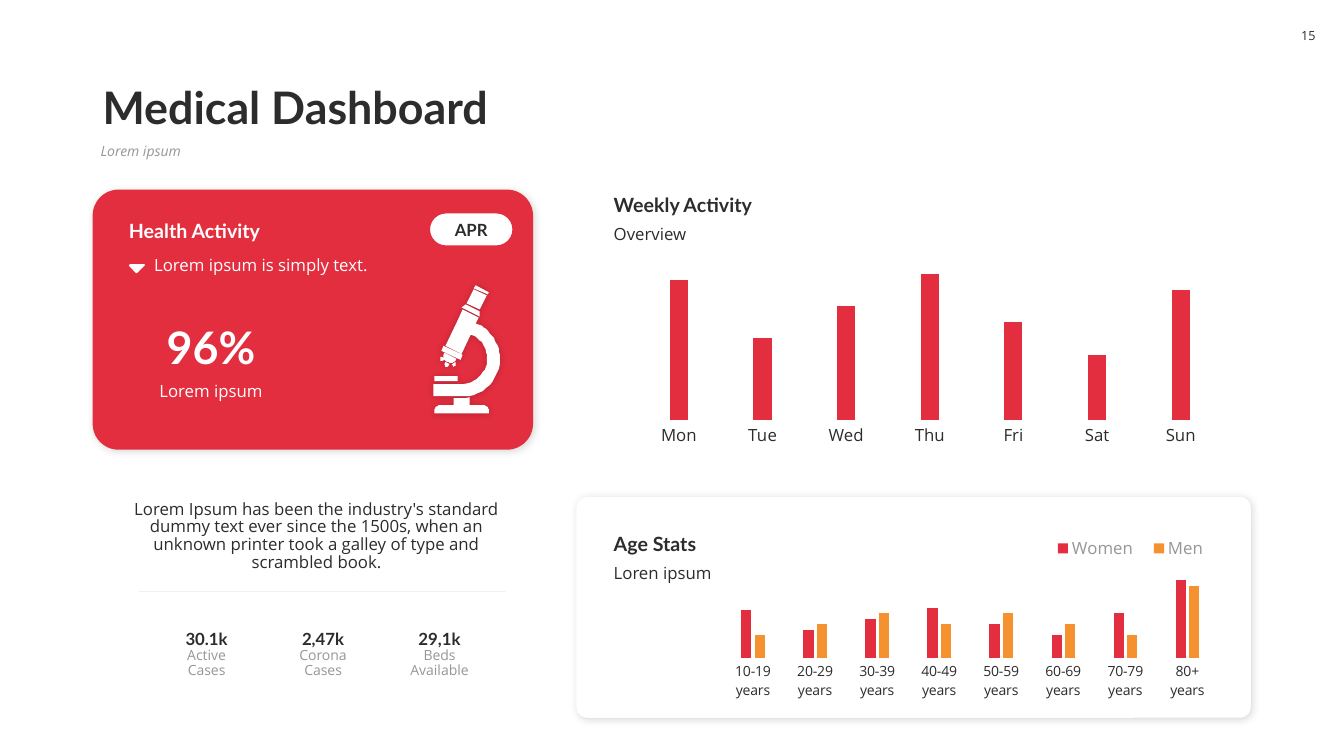
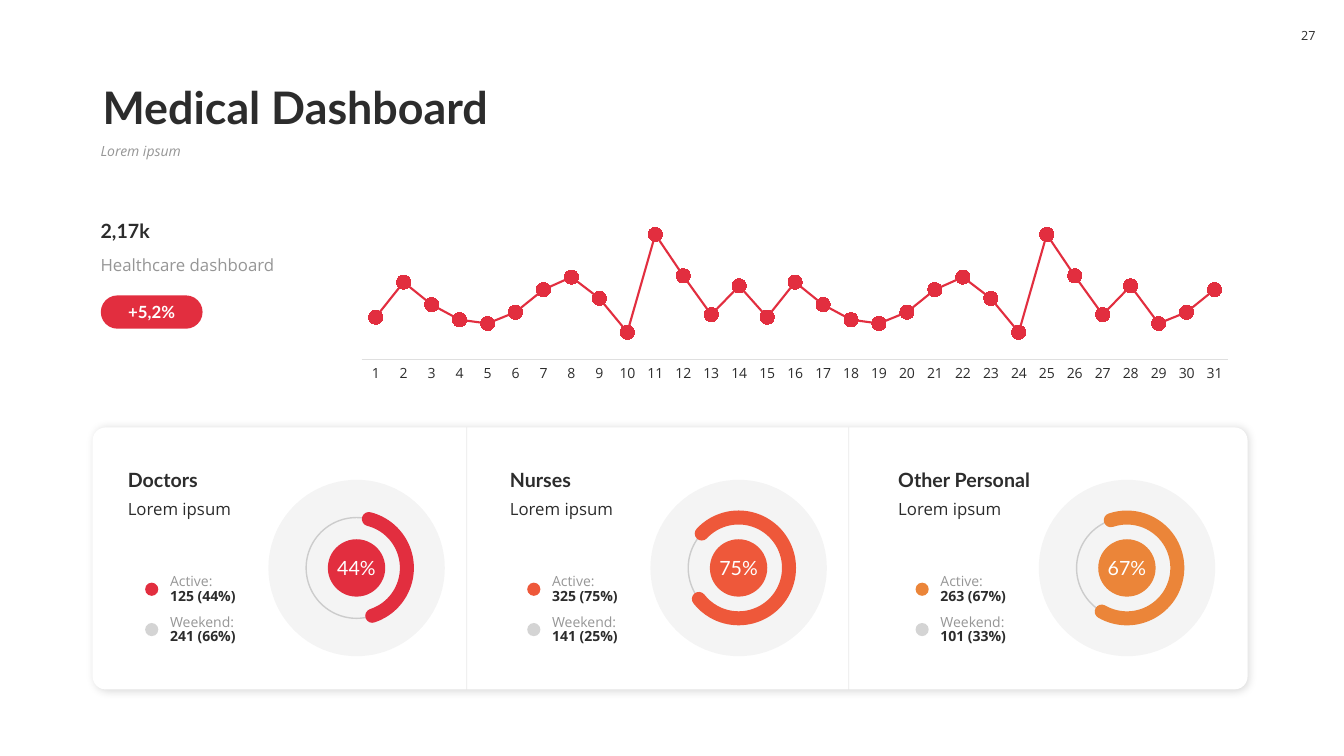
from dataclasses import dataclass, replace

from lxml.etree import SubElement
from pptx import Presentation
from pptx.chart.data import CategoryChartData
from pptx.dml.color import RGBColor
from pptx.enum.chart import XL_CHART_TYPE as ChartType, XL_LEGEND_POSITION as LegendPosition
from pptx.enum.chart import XL_MARKER_STYLE as MarkerStyle, XL_TICK_MARK as TickMark
from pptx.enum.shapes import MSO_CONNECTOR as Connector, MSO_SHAPE as Shape
from pptx.enum.text import MSO_ANCHOR as Anchor, PP_ALIGN as Align
from pptx.oxml.ns import qn
from pptx.util import Pt


@dataclass(frozen=True)
class Theme:
    heading: str = "Lato"
    body: str = "Open Sans"
    ink: str = "2C2C2C"
    gray: str = "969696"
    rule: str = "DFDFDF"
    white: str = "FFFFFF"
    red: str = "E22E3F"
    coral: str = "EE583A"
    amber: str = "EB8539"
    orange: str = "F5922F"
    huge: int = 32
    large: int = 14
    normal: int = 12
    small: int = 10
    tiny: int = 9


@dataclass(frozen=True)
class Style:
    font: str
    size: int
    color: str
    bold: bool = False
    italic: bool = False
    spacing: float = 1


THEME = Theme()

# Text styles
TITLE = Style(THEME.heading, THEME.huge, THEME.ink, bold=True, spacing=0.9)
SUBTITLE = Style(THEME.body, THEME.small, THEME.gray, italic=True, spacing=0.9)
HEADING = Style(THEME.heading, THEME.large, THEME.ink, bold=True)
FIGURE = replace(HEADING, size=THEME.normal)
BODY = Style(THEME.body, THEME.normal, THEME.ink, spacing=0.88)
LABEL = replace(BODY, size=THEME.small, color=THEME.gray)
LABEL_VALUE = replace(LABEL, color=THEME.ink, bold=True)
PAGE_NUMBER = Style(THEME.body, THEME.tiny, THEME.ink)
PERCENT = Style(THEME.heading, THEME.large, THEME.white)

# Microscope outline in hundredths of an inch: pairs are corners, sixes are Bézier curves
MICROSCOPE = [
    [(36, 111), (36, 119), (50, 119), (53, 119, 55, 122, 55, 125), (55, 127), (1, 127),
     (1, 125), (1, 122, 3, 119, 6, 119), (20, 119), (20, 112), (32, 112)],
    [(24, 90), (24, 95), (1, 95), (1, 90)],
    [(22, 76), (22, 78), (23, 79, 22, 80, 21, 80), (20, 81), (19, 79), (18, 78), (19, 78)],
    [(12, 76), (14, 77), (16, 78), (15, 80), (14, 81, 13, 81, 12, 81), (11, 78)],
    [(9, 71), (10, 73), (11, 74), (9, 75), (8, 75, 7, 75, 7, 74), (7, 71)],
    [(11, 67), (23, 73), (22, 74), (21, 77, 17, 78, 14, 76), (11, 75, 9, 72, 10, 69)],
    [(10, 60), (29, 69), (27, 74), (8, 65)],
    [(29, 24), (45, 32), (42, 38), (48, 40), (57, 46, 64, 57, 66, 69),
     (68, 88, 55, 106, 35, 110), (0, 110), (0, 98), (30, 98), (35, 97),
     (47, 93, 55, 82, 53, 70), (52, 61, 47, 54, 40, 50), (37, 49), (28, 68), (12, 60), (24, 35)],
    [(32, 19), (46, 26), (46, 31), (28, 22)],
    [(40, 4), (53, 10), (46, 24), (33, 18)],
    [(42, 0), (55, 7), (54, 9), (40, 3)],
]
CARET = [[(1, 0), (15, 0), (16, 1), (15, 2), (8, 9), (7, 9), (0, 2), (0, 1)]]


def rgb(color):
    return RGBColor.from_string(color)


def set_opacity(shape, percent):
    for color in shape.element.spPr.iter(qn("a:srgbClr")):
        SubElement(color, qn("a:alpha"), val=str(percent * 1000))


def add_shadow(shape, percent, blur, distance):
    effects = shape.element.spPr.find(qn("a:effectLst"))
    shadow = SubElement(effects, qn("a:outerShdw"), blurRad=str(Pt(blur)), dist=str(Pt(distance)),
                        dir=str(45 * 60000), algn="tl", rotWithShape="0")
    color = SubElement(shadow, qn("a:srgbClr"), val="000000")
    SubElement(color, qn("a:alpha"), val=str(percent * 1000))


def write(frame, lines, align, anchor, wrap=True):
    frame.word_wrap = wrap
    frame.vertical_anchor = anchor
    for index, (text, style) in enumerate(lines):
        paragraph = frame.paragraphs[0] if index == 0 else frame.add_paragraph()
        paragraph.text = text
        paragraph.alignment = align
        paragraph.line_spacing = style.spacing
        font = paragraph.font
        font.name, font.size = style.font, Pt(style.size)
        font.bold, font.italic = style.bold, style.italic
        font.color.rgb = rgb(style.color)


def add_text(slide, box, *lines, align=Align.LEFT, anchor=Anchor.TOP):
    write(slide.shapes.add_textbox(*map(Pt, box)).text_frame, lines, align, anchor)


def add_shape(slide, kind, box, fill=None, line=None, width=1, corner=None, opacity=None, label=None):
    shape = slide.shapes.add_shape(kind, *map(Pt, box))
    shape.shadow.inherit = False
    if corner is not None:
        shape.adjustments[0] = corner
    if fill:
        shape.fill.solid()
        shape.fill.fore_color.rgb = rgb(fill)
    else:
        shape.fill.background()
    if line:
        shape.line.color.rgb = rgb(line)
        shape.line.width = Pt(width)
    else:
        shape.line.fill.background()
    if opacity:
        set_opacity(shape, opacity)
    if label:
        frame = shape.text_frame
        frame.margin_left = frame.margin_right = frame.margin_top = frame.margin_bottom = 0
        write(frame, [label], Align.CENTER, Anchor.MIDDLE, wrap=False)
    return shape


def add_circle(slide, center, diameter, **look):
    left, top = (value - diameter / 2 for value in center)
    return add_shape(slide, Shape.OVAL, (left, top, diameter, diameter), **look)


def add_card(slide, box, fill, corner):
    add_shadow(add_shape(slide, Shape.ROUNDED_RECTANGLE, box, fill, corner=corner), 15, 6, 1)


def add_pill(slide, box, fill, text, color, line=None):
    add_shape(slide, Shape.ROUNDED_RECTANGLE, box, fill, line, corner=0.5,
              label=(text, replace(FIGURE, color=color)))


def add_rule(slide, start, end):
    rule = slide.shapes.add_connector(Connector.STRAIGHT, *map(Pt, (*start, *end)))
    rule.line.color.rgb = rgb(THEME.ink)
    rule.line.width = Pt(0.5)
    set_opacity(rule, 10)
    SubElement(rule.element.spPr, qn("a:effectLst"))


def flatten(contour, steps=12):
    """Turn corners and cubic curves into a list of points."""
    points = []
    for part in contour:
        if len(part) == 2:
            points.append(part)
            continue
        knots = [points[-1], part[0:2], part[2:4], part[4:6]]
        for step in range(1, steps + 1):
            t = step / steps
            weights = ((1 - t) ** 3, 3 * t * (1 - t) ** 2, 3 * t * t * (1 - t), t ** 3)
            points.append(tuple(sum(w * knot[axis] for w, knot in zip(weights, knots))
                                for axis in (0, 1)))
    return points


def add_icon(slide, left, top, contours):
    outlines = [flatten(contour) for contour in contours]
    builder = slide.shapes.build_freeform(*outlines[0][0], scale=Pt(0.72))
    for index, points in enumerate(outlines):
        if index:
            builder.move_to(*points[0])
        builder.add_line_segments(points[1:], close=True)
    icon = builder.convert_to_shape(Pt(left), Pt(top))
    icon.shadow.inherit = False
    icon.fill.solid()
    icon.fill.fore_color.rgb = rgb(THEME.white)
    icon.line.fill.background()
    return icon


def set_layout(chart, part, position, inner=False):
    """Place the plot area or the legend by fractions of the chart."""
    parent = chart.element.find(".//" + qn(part))
    for old in parent.findall(qn("c:layout")):
        parent.remove(old)
    layout = parent.makeelement(qn("c:layout"))
    parent.insert(0 if inner else 1, layout)
    manual = SubElement(layout, qn("c:manualLayout"))
    if inner:
        SubElement(manual, qn("c:layoutTarget"), val="inner")
    for name in ("xMode", "yMode"):
        SubElement(manual, qn("c:" + name), val="edge")
    for name, value in zip("xywh", position):
        SubElement(manual, qn("c:" + name), val=str(value))


def add_chart(slide, kind, box, categories, series, plot_top, plot_height, label_size):
    data = CategoryChartData()
    data.categories = categories
    for name, values, _ in series:
        data.add_series(name, values)
    chart = slide.shapes.add_chart(kind, *map(Pt, box), data).chart
    chart.has_title = chart.has_legend = False
    chart.font.name, chart.font.size = THEME.body, Pt(label_size)
    chart.font.color.rgb = rgb(THEME.ink)
    chart.plots[0].vary_by_categories = False
    values, labels = chart.value_axis, chart.category_axis
    values.minimum_scale, values.maximum_scale = 0, 100
    values.has_major_gridlines = values.visible = False
    labels.major_tick_mark = labels.minor_tick_mark = TickMark.NONE
    labels.format.line.fill.background()
    set_layout(chart, "c:plotArea", (0.02, plot_top, 0.96, plot_height), inner=True)
    return chart


def add_columns(slide, box, categories, series, plot_top, plot_height, label_size, gap):
    chart = add_chart(slide, ChartType.COLUMN_CLUSTERED, box, categories, series,
                      plot_top, plot_height, label_size)
    plot = chart.plots[0]
    plot.gap_width, plot.overlap = gap, -30
    for bars, (_, _, color) in zip(plot.series, series):
        bars.format.fill.solid()
        bars.format.fill.fore_color.rgb = rgb(color)
    return chart


def add_heading(slide, left, top, width, heading, text):
    add_text(slide, (left, top, width, 24.4), (heading, HEADING), anchor=Anchor.BOTTOM)
    add_text(slide, (left, top + 24.4, width, 21.6), (text, BODY))


def add_page(presentation, number):
    slide = presentation.slides.add_slide(presentation.slide_layouts[6])
    add_text(slide, (66.2, 41.8, 828, 57.6), ("Medical Dashboard", TITLE), anchor=Anchor.BOTTOM)
    add_text(slide, (64.8, 99.4, 829, 26), ("Lorem ipsum", SUBTITLE))
    add_shape(slide, Shape.ROUNDED_RECTANGLE, (921.5, 13, 26, 25), THEME.white, corner=0.27,
              label=(number, PAGE_NUMBER))
    return slide


def add_staff_panel(slide, left, name, percent, active, weekend, color, arc_start, arc_end):
    # Ring with its share
    center = (left + 170.5, 405.7)
    add_circle(slide, center, 126, fill=THEME.ink, opacity=5)
    add_circle(slide, center, 72, line=THEME.ink, opacity=20)
    add_heading(slide, left, 330.5, 206, name, "Lorem ipsum")
    add_circle(slide, center, 41, fill=color, label=(percent, PERCENT))
    arc = add_shape(slide, Shape.ARC, (center[0] - 36, center[1] - 36, 72, 72), line=color, width=10)
    # Arc adjustments count 60000ths of a degree in units of 100000
    arc.adjustments[0], arc.adjustments[1] = arc_start * 0.6, arc_end * 0.6
    arc.element.spPr.find(qn("a:ln")).set("cap", "rnd")

    # Key
    keys = (("Active:", active, color, None), ("Weekend:", weekend, THEME.ink, 20))
    for row, (label, value, dot, opacity) in enumerate(keys):
        top = 405.4 + 28.8 * row
        add_circle(slide, (left + 24.2, top + 15.5), 9.4, fill=dot, opacity=opacity)
        add_text(slide, (left + 30.2, top, 85, 31.7), (label, LABEL), (value, LABEL_VALUE),
                 anchor=Anchor.MIDDLE)


def build_activity(presentation):
    slide = add_page(presentation, "15")
    white_body = replace(BODY, color=THEME.white)

    # Health card
    add_card(slide, (66.2, 135.4, 314.6, 185.8), THEME.red, 0.1)
    add_text(slide, (92, 224.6, 117.4, 46), ("96%", replace(TITLE, color=THEME.white, spacing=1)),
             align=Align.CENTER, anchor=Anchor.BOTTOM)
    add_text(slide, (92, 270, 117.4, 21.6), ("Lorem ipsum", white_body), align=Align.CENTER)
    add_pill(slide, (306.7, 152, 59.8, 23.8), THEME.white, "APR", THEME.ink, THEME.red)
    add_text(slide, (85, 152, 180, 24.4), ("Health Activity", replace(HEADING, color=THEME.white)),
             anchor=Anchor.BOTTOM)
    add_text(slide, (103, 180, 264, 21.6), ("Lorem ipsum is simply text.", white_body))
    add_icon(slide, 92.2, 188.6, CARET)
    add_shadow(add_icon(slide, 309.6, 203.8, MICROSCOPE), 20, 5, 0)

    # Weekly activity
    add_heading(slide, 431.3, 134, 206, "Weekly Activity", "Overview")
    add_columns(slide, (446.4, 180, 435.6, 141), ["Mon", "Tue", "Wed", "Thu", "Fri", "Sat", "Sun"],
                [("Series 1", (96, 56, 78, 100, 67, 44, 89), THEME.red)],
                0.11, 0.74, THEME.normal, 360)

    # Summary and case counts
    add_text(slide, (74.2, 354.2, 303.8, 51), (
        "Lorem Ipsum has been the industry's standard dummy text ever since the 1500s, "
        "when an unknown printer took a galley of type and scrambled book.", BODY), align=Align.CENTER)
    add_rule(slide, (99.4, 422.6), (361.4, 422.6))
    counts = [("30.1k", "Active", "Cases"), ("2,47k", "Corona", "Cases"), ("29,1k", "Beds", "Available")]
    for column, (figure, *labels) in enumerate(counts):
        add_text(slide, (111.6 + 83.2 * column, 443.5, 72, 46), (figure, FIGURE),
                 *((label, LABEL) for label in labels), align=Align.CENTER, anchor=Anchor.MIDDLE)

    # Age card
    add_card(slide, (411.8, 355, 481.7, 157.7), THEME.white, 0.05)
    ages = [f"{age}-{age + 9} years" for age in range(10, 80, 10)] + ["80+ years"]
    chart = add_columns(slide, (508.3, 376.6, 369.4, 126), ages,
                        [("Women", (61, 36, 50, 64, 43, 29, 57, 100), THEME.red),
                         ("Men", (29, 43, 57, 43, 57, 43, 29, 93), THEME.orange)],
                        0.3, 0.44, THEME.small, 380)
    chart.has_legend = True
    chart.legend.position = LegendPosition.TOP
    chart.legend.include_in_layout = False
    font = chart.legend.font
    font.name, font.size, font.color.rgb = THEME.body, Pt(THEME.normal), rgb(THEME.gray)
    set_layout(chart, "c:legend", (0.64, 0.05, 0.34, 0.14))
    add_heading(slide, 431.3, 376.2, 158, "Age Stats", "Loren ipsum")


def build_staff(presentation):
    slide = add_page(presentation, "27")

    # Monthly line
    days = (34, 62, 44, 32, 29, 38, 56, 66, 49, 22, 100, 67, 36, 59, 34, 62,
            44, 32, 29, 38, 56, 66, 49, 22, 100, 67, 36, 59, 29, 38, 56)
    chart = add_chart(slide, ChartType.LINE_MARKERS_STACKED, (245.5, 148.3, 645, 128),
                      [str(day) for day in range(1, len(days) + 1)],
                      [("Series 1", days, THEME.red)], 0.15, 0.7, THEME.small)
    axis_line = chart.category_axis.format.line
    axis_line.color.rgb, axis_line.width = rgb(THEME.rule), Pt(0.75)
    series = chart.plots[0].series[0]
    series.smooth = False
    series.format.line.color.rgb, series.format.line.width = rgb(THEME.red), Pt(1.5)
    series.marker.style, series.marker.size = MarkerStyle.CIRCLE, 10
    series.marker.format.fill.solid()
    series.marker.format.fill.fore_color.rgb = rgb(THEME.red)
    series.marker.format.line.color.rgb = rgb(THEME.red)

    # Key figure
    add_text(slide, (64.8, 152, 153.4, 24.4), ("2,17k", HEADING), anchor=Anchor.BOTTOM)
    add_text(slide, (64.8, 180, 153.4, 21.6), ("Healthcare dashboard", replace(BODY, color=THEME.gray)))
    add_pill(slide, (72, 211, 72.7, 23.8), THEME.red, "+5,2%", THEME.white)

    # Staff panels
    add_card(slide, (66.2, 305.3, 825, 187.2), THEME.white, 0.05)
    panels = [
        (84.2, "Doctors", "44%", "125 (44%)", "241 (66%)", THEME.red, 284.2, 71.8),
        (357.1, "Nurses", "75%", "325 (75%)", "141 (25%)", THEME.coral, 223, 142),
        (634.5, "Other Personal", "67%", "263 (67%)", "101 (33%)", THEME.amber, 251.3, 120),
    ]
    for panel in panels:
        add_staff_panel(slide, *panel)
    for left, *_ in panels[:-1]:
        add_rule(slide, (left + 249.2, 305.3), (left + 249.2, 492.5))


def main():
    presentation = Presentation()
    presentation.slide_width, presentation.slide_height = Pt(960), Pt(540)
    build_activity(presentation)
    build_staff(presentation)
    presentation.save("out.pptx")


if __name__ == "__main__":
    main()
